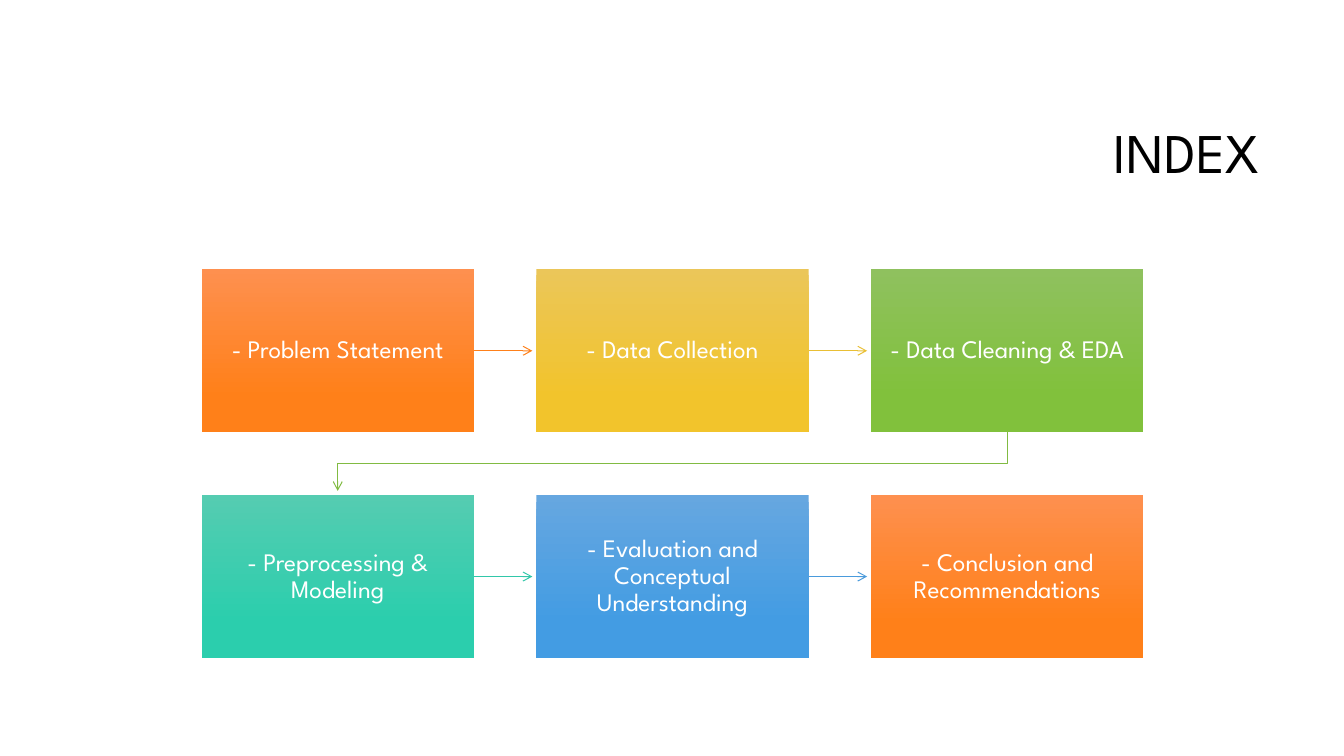
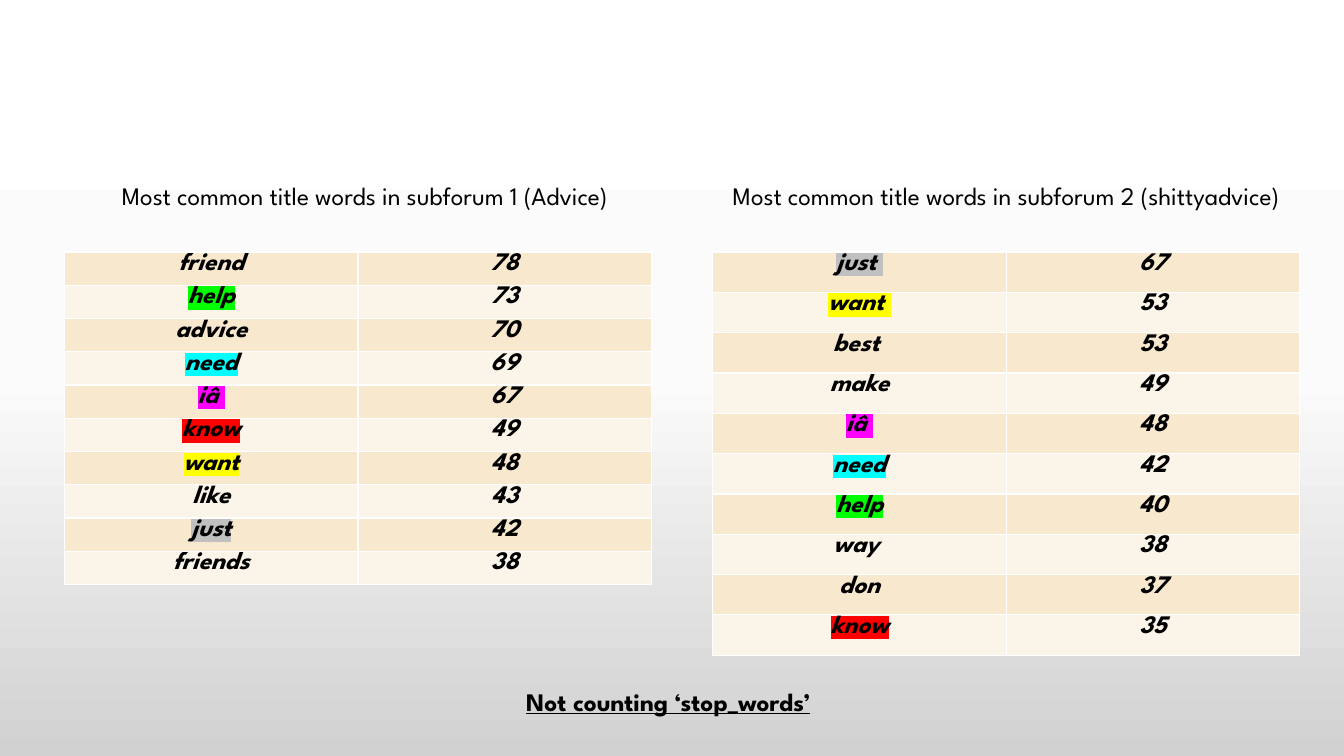
from copy import deepcopy
from dataclasses import dataclass

from lxml import etree
from pptx import Presentation
from pptx.dml.color import RGBColor
from pptx.enum import shapes, text
from pptx.oxml.ns import qn
from pptx.util import Inches, Pt


@dataclass(frozen=True)
class Theme:
    font: str = "League Spartan"
    title_size: int = 40
    body_size: int = 18
    ink: str = "000000"
    paper: str = "FFFFFF"
    bands: tuple = ("F7E8CE", "FBF4E8")
    backdrop: tuple = ((0, "FFFFFF"), (0.5, "FBFBFB"), (1, "D1D1D1"))


T = Theme()
CENTER, RIGHT = text.PP_ALIGN.CENTER, text.PP_ALIGN.RIGHT
MIDDLE = text.MSO_ANCHOR.MIDDLE

# Step: label, gradient top, gradient bottom, outgoing arrow
STEPS = [
    ("- Problem Statement", "FE904F", "FF8019", "FE801A"),
    ("- Data Collection", "EBC659", "F2C42C", "E9BF35"),
    ("- Data Cleaning & EDA", "8FC15E", "81C13C", "81BB42"),
    ("- Preprocessing & Modeling", "55CCB1", "2BCEAD", "32C7A9"),
    ("- Evaluation and Conceptual Understanding", "66A7E0", "439CE3", "4A9BDC"),
    ("- Conclusion and Recommendations", "FE904F", "FF8019", None),
]
STEP_COLS = 3
STEP_W, STEP_H = 2.7, 1.62
STEP_X, STEP_Y = 2, 2.67
PITCH_X, PITCH_Y = 3.32, 2.24
ARROW_GAP = 0.04

# Words that appear in both tables share a highlight
HIGHLIGHTS = {"help": "00FF00", "need": "00FFFF", "iâ": "FF00FF",
              "know": "FF0000", "want": "FFFF00", "just": "C0C0C0"}
ADVICE_WORDS = [("friend", 78), ("help", 73), ("advice", 70), ("need", 69), ("iâ ", 67),
                ("know", 49), ("want", 48), ("like", 43), ("just", 42), ("friends", 38)]
SECOND_WORDS = [("just ", 67), ("want ", 53), ("best ", 53), ("make", 49), ("iâ ", 48),
                ("need", 42), ("help", 40), ("way ", 38), ("don", 37), ("know", 35)]


def rgb(color):
    return RGBColor.from_string(color)


def write(tf, content, size=T.body_size, color=T.ink, align=None, bold=False,
          italic=False, underline=False, spacing=None, highlight=None):
    p = tf.paragraphs[0]
    p.alignment, p.line_spacing = align, spacing
    r = p.add_run()
    r.text = content
    f = r.font
    f.size, f.bold, f.italic, f.underline = Pt(size), bold, italic, underline
    f.color.rgb = rgb(color)
    if highlight:
        mark = etree.SubElement(r._r.get_or_add_rPr(), qn("a:highlight"))
        etree.SubElement(mark, qn("a:srgbClr"), val=highlight)
    f.name = T.font


def text_box(s, content, x, y, w, h, anchor=text.MSO_ANCHOR.TOP, **style):
    tf = s.shapes.add_textbox(Inches(x), Inches(y), Inches(w), Inches(h)).text_frame
    tf.word_wrap, tf.vertical_anchor = True, anchor
    write(tf, content, **style)


def gradient(fill, root, stops):
    """Fill downwards with the given (position, colour) stops."""
    fill.gradient()
    fill.gradient_angle = 270
    gs_list = next(root.iter(qn("a:gsLst")))
    for _ in stops[2:]:
        gs_list.append(deepcopy(gs_list[-1]))
    for stop, (position, color) in zip(fill.gradient_stops, stops):
        stop.position = position
        stop.color.rgb = rgb(color)


def arrow_line(sp, color):
    sp.line.color.rgb = rgb(color)
    sp.line.width = Pt(0.75)
    etree.SubElement(sp.line._get_or_add_ln(), qn("a:tailEnd"), type="arrow")


def step_box(s, label, x, y, top, bottom):
    sp = s.shapes.add_shape(shapes.MSO_SHAPE.RECTANGLE, Inches(x), Inches(y),
                            Inches(STEP_W), Inches(STEP_H))
    sp.shadow.inherit = False
    gradient(sp.fill, sp._element, ((0, top), (0.78, bottom)))
    sp.line.fill.background()
    tf = sp.text_frame
    tf.word_wrap, tf.vertical_anchor = True, MIDDLE
    tf.margin_left = tf.margin_right = Inches(0.13)
    tf.margin_top = tf.margin_bottom = Inches(0.14)
    write(tf, label, color=T.paper, align=CENTER, spacing=0.9)
    return sp


def straight_arrow(s, box, x, y, color):
    """Arrow from the right side of a step towards the next one."""
    mid = Inches(y + STEP_H / 2)
    c = s.shapes.add_connector(shapes.MSO_CONNECTOR.STRAIGHT, Inches(x + STEP_W), mid,
                               Inches(x + PITCH_X - ARROW_GAP), mid)
    c.begin_connect(box, 3)
    arrow_line(c, color)
    etree.SubElement(c._element.spPr, qn("a:effectLst"))


def row_arrow(s, x, y, color):
    """Bent arrow from the end of one row to the start of the next."""
    start_x, end_x = x + STEP_W / 2, STEP_X + STEP_W / 2
    start_y, end_y = y + STEP_H, y + PITCH_Y - ARROW_GAP
    mid_y = y + (STEP_H + PITCH_Y) / 2
    fb = s.shapes.build_freeform(Inches(start_x), Inches(start_y))
    fb.add_line_segments([(Inches(px), Inches(py)) for px, py in
                          ((start_x, mid_y), (end_x, mid_y), (end_x, end_y))], close=False)
    sp = fb.convert_to_shape()
    sp.shadow.inherit = False
    sp.fill.background()
    arrow_line(sp, color)


def cell_borders(cell):
    tcPr = cell._tc.get_or_add_tcPr()
    for side in ("a:lnL", "a:lnR", "a:lnT", "a:lnB"):
        ln = etree.SubElement(tcPr, qn(side), w=str(Pt(1)))
        etree.SubElement(etree.SubElement(ln, qn("a:solidFill")), qn("a:srgbClr"), val=T.paper)


def word_table(s, words, x, row_h):
    y, col_w = 2.5, 2.91
    tbl = s.shapes.add_table(len(words), 2, Inches(x), Inches(y), Inches(2 * col_w),
                             Inches(row_h * len(words))).table
    tbl.first_row = tbl.horz_banding = False
    for i, (word, count) in enumerate(words):
        tbl.rows[i].height = Inches(row_h)
        marks = (HIGHLIGHTS.get(word.strip()), None)
        for cell, content, mark in zip(tbl.rows[i].cells, (word, str(count)), marks):
            cell.margin_top = cell.margin_bottom = Inches(0.01)
            cell_borders(cell)
            cell.fill.solid()
            cell.fill.fore_color.rgb = rgb(T.bands[i % 2])
            write(cell.text_frame, content, align=CENTER, bold=True, italic=True,
                  highlight=mark)


def index_slide(s):
    text_box(s, "INDEX", 3.17, 0.84, 9.42, 1.41, anchor=MIDDLE,
             size=T.title_size, align=RIGHT, spacing=0.9)
    for i, (label, top, bottom, arrow) in enumerate(STEPS):
        row, col = divmod(i, STEP_COLS)
        x, y = STEP_X + col * PITCH_X, STEP_Y + row * PITCH_Y
        box = step_box(s, label, x, y, top, bottom)
        if arrow and col < STEP_COLS - 1:
            straight_arrow(s, box, x, y, arrow)
        elif arrow:
            row_arrow(s, x, y, arrow)


def words_slide(s):
    gradient(s.background.fill, s._element, T.backdrop)
    word_table(s, ADVICE_WORDS, 0.64, 0.33)
    word_table(s, SECOND_WORDS, 7.07, 0.4)
    # Captions and footnote
    text_box(s, "Most common title words in subforum 1 (Advice)",
             0.64, 1.74, 5.96, 0.71, align=CENTER)
    text_box(s, "Most common title words in subforum 2 (shittyadvice)",
             6.83, 1.74, 6.3, 0.71, align=CENTER)
    text_box(s, "Not counting ‘stop_words’", 5.12, 6.76, 3.43, 0.4,
             bold=True, underline=True)


def main():
    prs = Presentation()
    prs.slide_width, prs.slide_height = Inches(13.33), Inches(7.5)
    for build in (index_slide, words_slide):
        build(prs.slides.add_slide(prs.slide_layouts[6]))
    prs.save("out.pptx")


if __name__ == "__main__":
    main()
